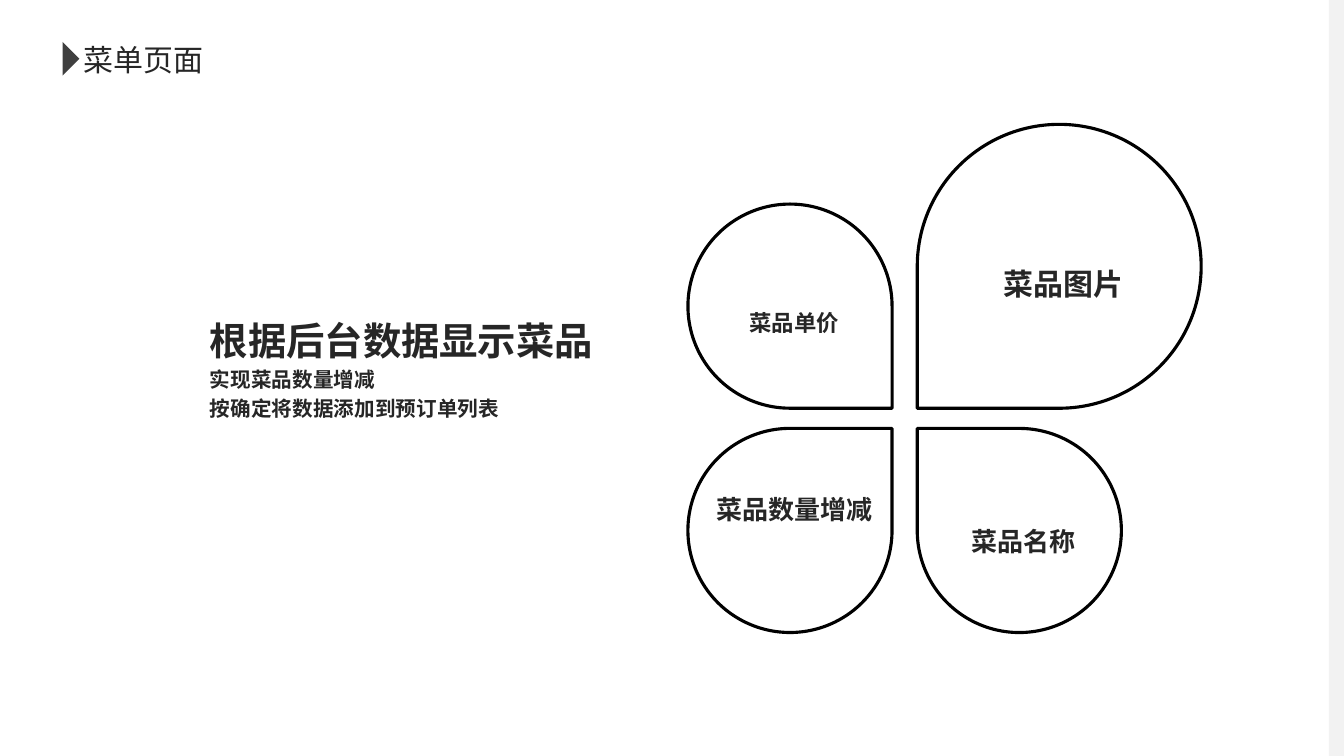
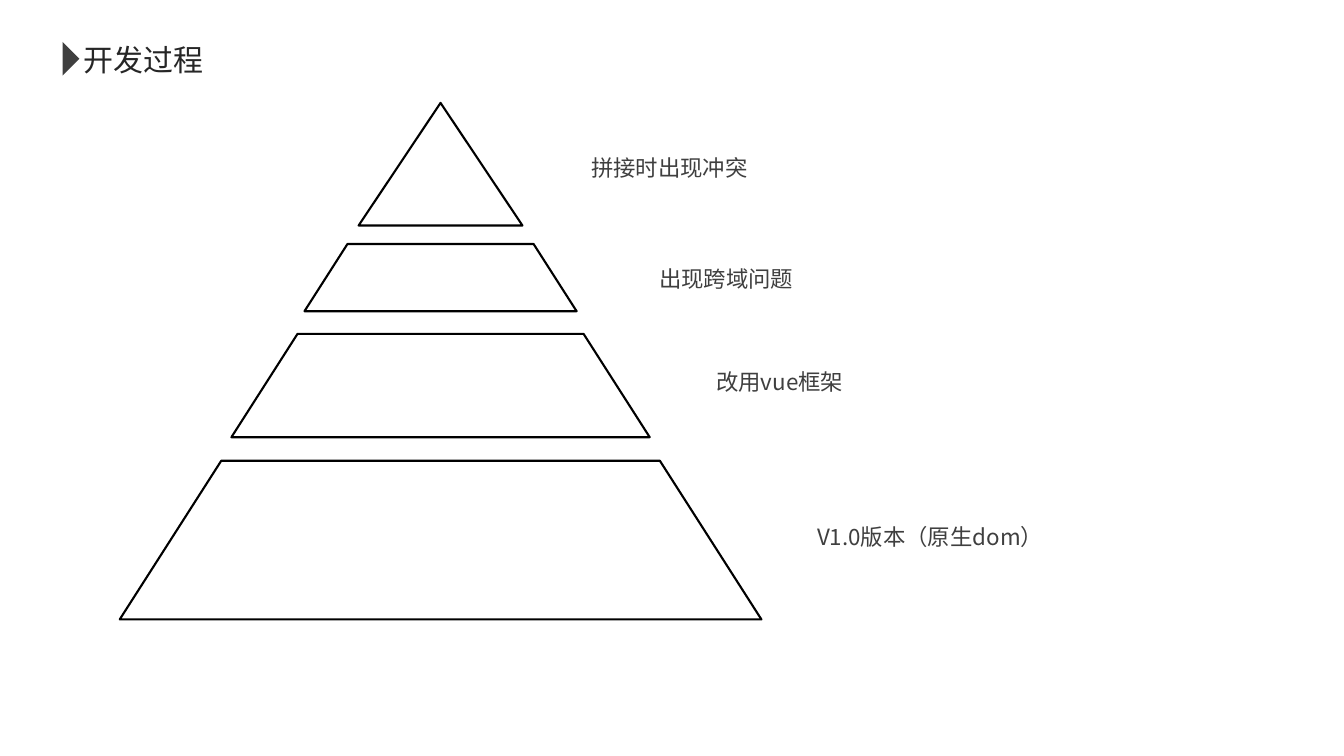
from dataclasses import dataclass

from pptx import Presentation
from pptx import util as u
from pptx.dml.color import RGBColor
from pptx.enum import shapes, text
from pptx.oxml.ns import qn
from lxml import etree

# The grid has 160 columns and 90 rows of square cells.
COLUMNS, ROWS = 160, 90
CELL = 1 / 12


@dataclass(frozen=True)
class Theme:
    font: str = "Noto Sans CJK SC"
    paper: str = "FFFFFF"
    edge: str = "F2F2F2"
    ink: str = "262626"
    grey: str = "3F3F3F"
    outline: str = "000000"
    title: float = 21.4
    headline: float = 27.4
    detail: float = 14.7
    body: float = 16
    medium: float = 18.6
    large: float = 21.4


def cells(count):
    return u.Inches(count * CELL)


class Deck:
    def __init__(self, theme):
        self.theme = theme
        self.show = Presentation()
        self.show.slide_width = cells(COLUMNS)
        self.show.slide_height = cells(ROWS)
        self.slide = None

    def page(self, title):
        """Start a slide with its background, title and title marker."""
        self.slide = self.show.slides.add_slide(self.show.slide_layouts[6])
        background = self.slide.background.fill
        background.solid()
        background.fore_color.rgb = RGBColor.from_string(self.theme.paper)
        self.label((8.8, 4.2, 24, 5.5), [(title, self.theme.title)])
        self.filled(shapes.MSO_SHAPE.ISOSCELES_TRIANGLE, (6.45, 6, 4, 2),
                    self.theme.grey, turn=90)

    def shape(self, preset, place, turn=0):
        figure = self.slide.shapes.add_shape(preset, *map(cells, place))
        figure.shadow.inherit = False
        figure.rotation = turn
        return figure

    def filled(self, preset, place, colour, turn=0):
        figure = self.shape(preset, place, turn)
        figure.fill.solid()
        figure.fill.fore_color.rgb = RGBColor.from_string(colour)
        figure.line.fill.background()

    def outlined(self, preset, place, weight, turn=0, adjust=None):
        figure = self.shape(preset, place, turn)
        figure.fill.background()
        figure.line.color.rgb = RGBColor.from_string(self.theme.outline)
        figure.line.width = u.Pt(weight)
        if adjust is not None:
            figure.adjustments[0] = adjust

    def label(self, place, lines, colour=None, bold=False, leading=1.25,
              align=text.PP_ALIGN.LEFT, anchor=text.MSO_ANCHOR.TOP):
        """Add (words, size) lines; leading is a multiple of the type size."""
        frame = self.slide.shapes.add_textbox(*map(cells, place)).text_frame
        frame.word_wrap = True
        frame.vertical_anchor = anchor
        for index, (words, size) in enumerate(lines):
            paragraph = frame.add_paragraph() if index else frame.paragraphs[0]
            paragraph.alignment = align
            paragraph.line_spacing = u.Pt(round(size * leading, 1))
            run = paragraph.add_run()
            run.text = words
            font = run.font
            font.size = u.Pt(size)
            font.bold = bold
            font.color.rgb = RGBColor.from_string(colour or self.theme.ink)
            font.name = self.theme.font
            east_asian = etree.SubElement(font._element, qn("a:ea"))
            east_asian.set("typeface", self.theme.font)


def menu_page(deck):
    theme = deck.theme
    deck.page("菜单页面")
    deck.filled(shapes.MSO_SHAPE.RECTANGLE, (158.2, 0, 1.8, ROWS), theme.edge)

    hub_x, hub_y, gap_x, gap_y = 107.7, 49.8, 3, 2.4
    label_width, label_height = 25.6, 5
    # side and level give the quadrant: -1 is left or above, 1 right or below
    petals = [
        ("菜品图片", theme.large, 1, -1, 33.8, 30.8, 180),
        ("菜品名称", theme.medium, 1, 1, 24.3, 61.8, 270),
        ("菜品数量增减", theme.medium, -1, 1, 24.3, 58, 0),
        ("菜品单价", theme.body, -1, -1, 24.3, 36.1, 90),
    ]
    for words, size, side, level, span, label_top, turn in petals:
        middle_x = hub_x + side * (gap_x + span) / 2
        middle_y = hub_y + level * (gap_y + span) / 2
        deck.outlined(shapes.MSO_SHAPE.TEAR,
                      (middle_x - span / 2, middle_y - span / 2, span, span),
                      2.25, turn, adjust=1)
        deck.label((middle_x + 0.5 - label_width / 2, label_top,
                    label_width, label_height),
                   [(words, size)], bold=True, align=text.PP_ALIGN.CENTER)

    deck.label((23.8, 36.4, 49, 14.3),
               [("根据后台数据显示菜品", theme.headline),
                ("实现菜品数量增减", theme.detail),
                ("按确定将数据添加到预订单列表", theme.detail)],
               bold=True, leading=1.38)


def process_page(deck):
    theme = deck.theme
    deck.page("开发过程")
    axis, slope, label_right, label_height = 52.45, 0.64, 148, 6
    peak, tier = shapes.MSO_SHAPE.ISOSCELES_TRIANGLE, shapes.MSO_SHAPE.TRAPEZOID
    # preset, adjustment, top, width, height, words, label left, label middle
    stages = [
        (peak, 0.5, 12.25, 19.5, 14.6, "拼接时出现冲突", 69.2, 18.9),
        (tier, slope, 29.05, 32.4, 8, "出现跨域问题", 77.3, 32.1),
        (tier, slope, 39.75, 49.8, 12.3, "改用vue框架", 84.1, 44.3),
        (tier, slope, 54.85, 76.4, 18.9, "V1.0版本（原生dom）", 96.1, 62.8),
    ]
    for preset, adjust, top, width, height, words, left, middle in stages:
        deck.outlined(preset, (axis - width / 2, top, width, height),
                      1.5, adjust=adjust)
        deck.label((left, middle - label_height / 2,
                    label_right - left, label_height),
                   [(words, theme.body)], theme.grey, leading=2,
                   anchor=text.MSO_ANCHOR.MIDDLE)


def main():
    deck = Deck(Theme())
    menu_page(deck)
    process_page(deck)
    deck.show.save("out.pptx")


if __name__ == "__main__":
    main()
